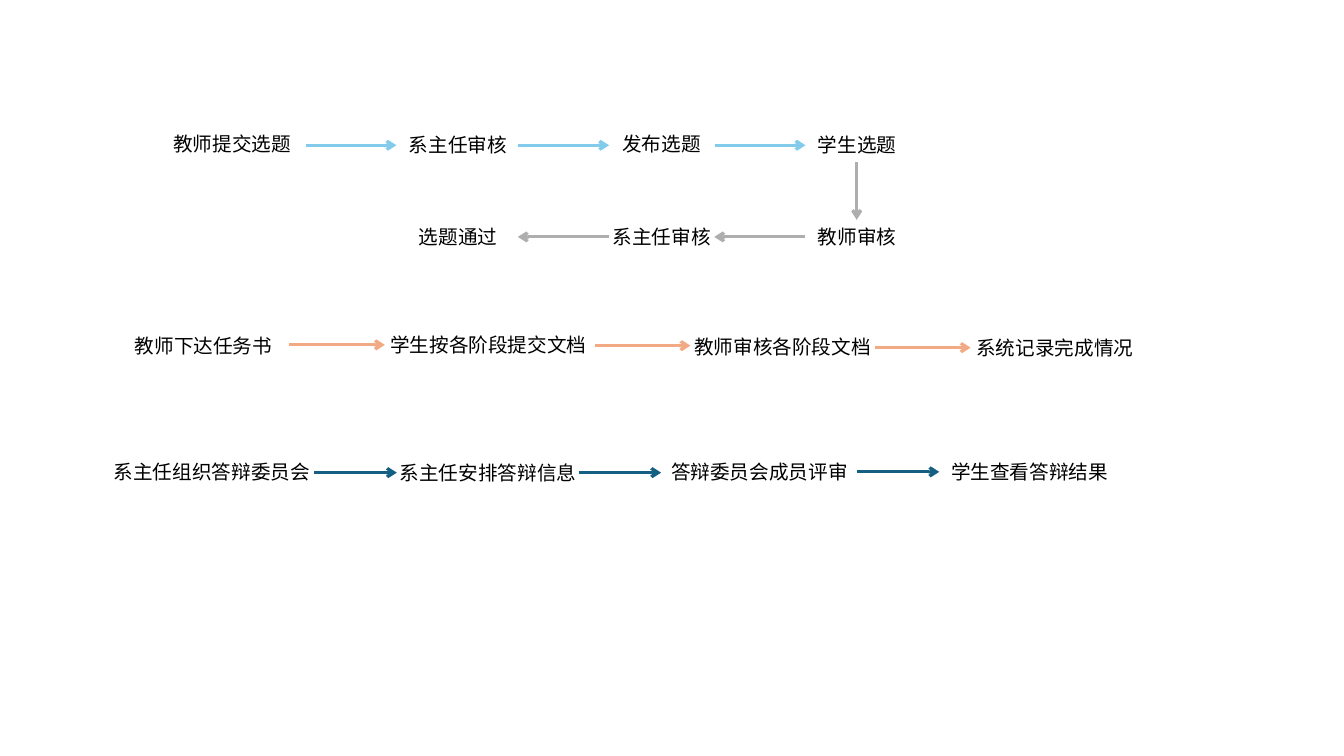
"""Build a slide of the thesis workflow: topic selection, progress and defence."""
from lxml.etree import SubElement
from pptx import Presentation
from pptx.dml.color import RGBColor
from pptx.enum.shapes import MSO_CONNECTOR
from pptx.enum.text import MSO_AUTO_SIZE, PP_ALIGN
from pptx.oxml.ns import qn
from pptx.util import Cm, Pt

COLORS = {"text": "000000", "topic": "83CBEB", "review": "AEAEAE",
          "progress": "F2AA84", "defence": "156082"}
LABEL_HEIGHT = 0.86
LABEL_FONT = {"name": "Times New Roman", "size": Pt(14)}
FRAME_FORMAT = {"word_wrap": True, "auto_size": MSO_AUTO_SIZE.SHAPE_TO_FIT_TEXT}

# Steps are (text, left, top, width); arrows are (start x, start y), all in cm.
FLOWS = [
    {"color": "topic", "reach": (2.29, 0),
     "steps": [("教师提交选题", 3.99, 3.2, 3.73), ("系主任审核", 9.68, 3.23, 3.73),
               ("发布选题", 14.81, 3.2, 3.73), ("学生选题", 19.74, 3.23, 3.73)],
     "arrows": [(7.7, 3.66), (13.06, 3.66), (18.01, 3.66)]},
    {"color": "review", "reach": (0, 1.45), "steps": [], "arrows": [(21.59, 4.09)]},
    {"color": "review", "reach": (-2.29, 0),
     "steps": [("教师审核", 19.74, 5.54, 3.73), ("系主任审核", 14.81, 5.54, 3.73),
               ("选题通过", 9.68, 5.54, 3.73)],
     "arrows": [(20.29, 5.97), (15.34, 5.97)]},
    {"color": "progress", "reach": (2.41, 0),
     "steps": [("教师下达任务书", 3.1, 8.28, 4.06), ("学生按各阶段提交文档", 9.12, 8.26, 6.38),
               ("教师审核各阶段文档", 17.02, 8.31, 5.41), ("系统记录完成情况", 23.88, 8.33, 5.41)],
     "arrows": [(7.29, 8.69), (14.99, 8.71), (22.05, 8.76)]},
    {"color": "defence", "reach": (2.08, 0),
     "steps": [("系主任组织答辩委员会", 2.51, 11.46, 5.66), ("系主任安排答辩信息", 9.47, 11.48, 5.66),
               ("答辩委员会成员评审", 16.13, 11.46, 6.02), ("学生查看答辩结果", 22.94, 11.46, 6.02)],
     "arrows": [(7.92, 11.91), (14.58, 11.91), (21.59, 11.89)]},
]


def apply_format(target, values):
    for name, value in values.items():
        setattr(target, name, value)


def add_step(page, text, left, top, width):
    box = page.shapes.add_textbox(Cm(left), Cm(top), Cm(width), Cm(LABEL_HEIGHT))
    apply_format(box.text_frame, FRAME_FORMAT)
    para = box.text_frame.paragraphs[0]
    para.alignment = PP_ALIGN.CENTER
    span = para.add_run()
    span.text = text
    apply_format(span.font, LABEL_FONT)
    span.font.color.rgb = RGBColor.from_string(COLORS["text"])


def add_arrow(page, start, reach, color):
    end = [begin + distance for begin, distance in zip(start, reach)]
    arrow = page.shapes.add_connector(MSO_CONNECTOR.STRAIGHT, *map(Cm, (*start, *end)))
    arrow.line.width = Pt(2.25)
    arrow.line.color.rgb = RGBColor.from_string(COLORS[color])
    properties = arrow.element.spPr
    SubElement(properties.find(qn("a:ln")), qn("a:tailEnd"), type="arrow")
    SubElement(properties, qn("a:effectLst"))


def main():
    deck = Presentation()
    apply_format(deck, {"slide_width": Cm(33.87), "slide_height": Cm(19.05)})
    page = deck.slides.add_slide(deck.slide_layouts[6])
    for flow in FLOWS:
        for step in flow["steps"]:
            add_step(page, *step)
        for start in flow["arrows"]:
            add_arrow(page, start, flow["reach"], flow["color"])
    deck.save("out.pptx")


if __name__ == "__main__":
    main()
